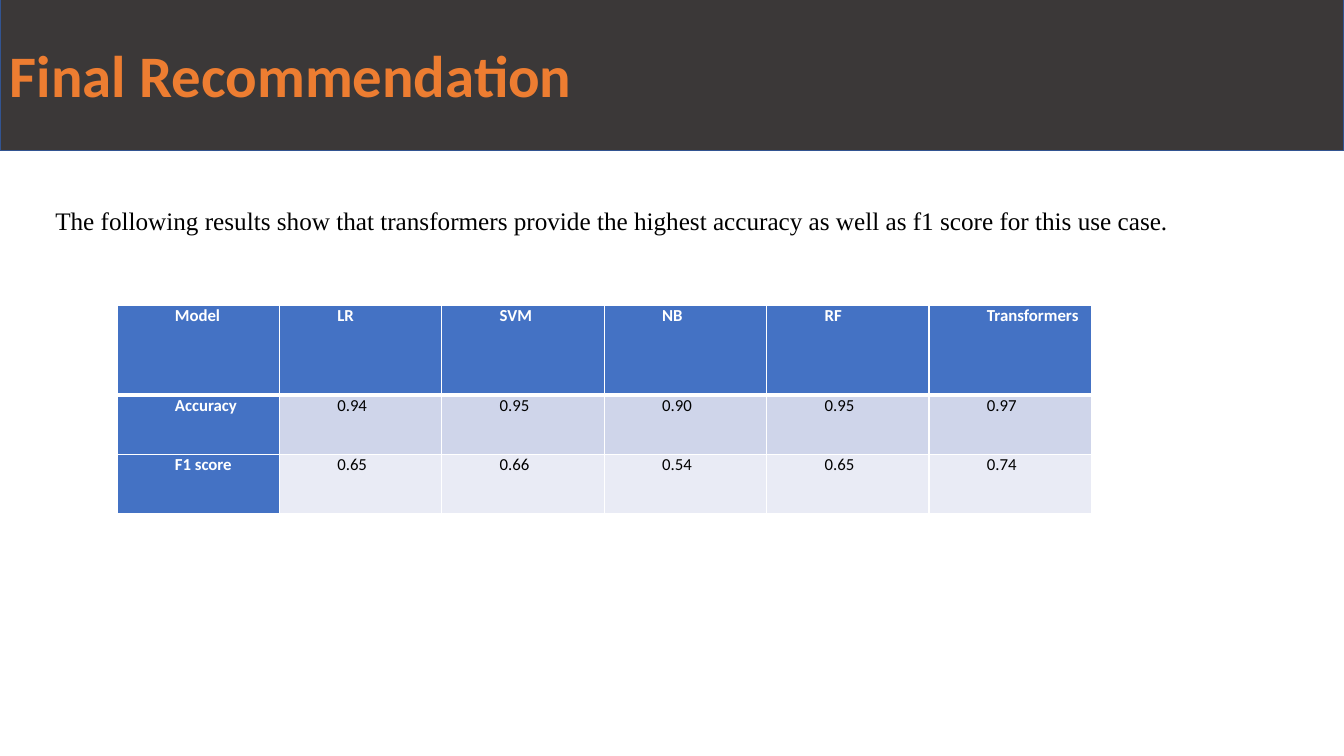
from dataclasses import dataclass

from pptx import Presentation
from pptx.dml.color import RGBColor as RGB
from pptx.enum.shapes import MSO_SHAPE as Preset
from pptx.enum.text import MSO_ANCHOR as Anchor, MSO_AUTO_SIZE as AutoSize, PP_ALIGN as Align
from pptx.oxml.ns import qn
from pptx.oxml.xmlchemy import OxmlElement as new_element
from pptx.util import Pt


@dataclass(frozen=True)
class Theme:
    banner: str = "3B3838"
    banner_edge: str = "325491"
    title: str = "ED7D31"
    text: str = "000000"
    white: str = "FFFFFF"
    header: str = "4472C4"
    bands: tuple = ("CFD5EA", "E9EBF5")
    sans: str = "Calibri"
    serif: str = "Times New Roman"
    title_size: int = 42
    body_size: int = 18
    table_size: int = 12


THEME = Theme()

RESULTS = (
    ("Model", "LR", "SVM", "NB", "RF", "Transformers"),
    ("Accuracy", "0.94", "0.95", "0.90", "0.95", "0.97"),
    ("F1 score", "0.65", "0.66", "0.54", "0.65", "0.74"),
)
COLUMN_WIDTH = 116.05
ROW_HEIGHTS = (64.2, 42.4, 42.4)


def write(text_frame, text, font_name, size, color, bold=False, align=Align.LEFT, indent=0):
    """Put one formatted paragraph into a text frame."""
    text_frame.text = text
    paragraph = text_frame.paragraphs[0]
    paragraph.alignment = align
    if indent:
        properties = paragraph._p.get_or_add_pPr()
        properties.set("marL", str(Pt(indent)))
        properties.set("indent", "0")
    font = paragraph.runs[0].font
    font.name, font.size, font.bold = font_name, Pt(size), bold
    font.color.rgb = RGB.from_string(color)


def add_banner(slide, title, left, top, width, height):
    banner = slide.shapes.add_shape(Preset.RECTANGLE, Pt(left), Pt(top), Pt(width), Pt(height))
    banner.shadow.inherit = False
    banner.fill.solid()
    banner.fill.fore_color.rgb = RGB.from_string(THEME.banner)
    banner.line.color.rgb = RGB.from_string(THEME.banner_edge)
    banner.line.width = Pt(1)
    banner.text_frame.vertical_anchor = Anchor.MIDDLE
    write(banner.text_frame, title, THEME.sans, THEME.title_size, THEME.title, bold=True)


def add_statement(slide, text, left, top, width, height):
    box = slide.shapes.add_textbox(Pt(left), Pt(top), Pt(width), Pt(height))
    box.text_frame.word_wrap = True
    box.text_frame.auto_size = AutoSize.SHAPE_TO_FIT_TEXT
    write(box.text_frame, text, THEME.serif, THEME.body_size, THEME.text,
          align=Align.JUSTIFY, indent=18)


def add_cell_border(properties, side, width):
    line = new_element(f"a:{side}")
    line.set("w", str(Pt(width)))
    fill = new_element("a:solidFill")
    color = new_element("a:srgbClr")
    color.set("val", THEME.white)
    fill.append(color)
    line.append(fill)
    properties.insert(len(properties.findall(qn("a:lnL")) + properties.findall(qn("a:lnR"))
                          + properties.findall(qn("a:lnT"))), line)


def format_cell(cell, text, row, column):
    is_header = row == 0 or column == 0
    cell.margin_left = cell.margin_right = Pt(5.4)
    cell.margin_top = cell.margin_bottom = 0
    cell.fill.solid()
    fill = THEME.header if is_header else THEME.bands[(row - 1) % 2]
    cell.fill.fore_color.rgb = RGB.from_string(fill)
    write(cell.text_frame, text, THEME.sans, THEME.table_size,
          THEME.white if is_header else THEME.text, bold=is_header,
          align=Align.JUSTIFY, indent=36)
    # A thick rule separates the header row from the results
    borders = {"lnL": 1, "lnR": 1, "lnT": 3 if row == 1 else 1, "lnB": 3 if row == 0 else 1}
    for side, width in borders.items():
        add_cell_border(cell._tc.get_or_add_tcPr(), side, width)


def add_results_table(slide, rows, left, top):
    column_count = len(rows[0])
    frame = slide.shapes.add_table(len(rows), column_count, Pt(left), Pt(top),
                                   Pt(COLUMN_WIDTH * column_count), Pt(sum(ROW_HEIGHTS)))
    table = frame.table
    table.first_column = True
    for column in table.columns:
        column.width = Pt(COLUMN_WIDTH)
    for row, values in enumerate(rows):
        table.rows[row].height = Pt(ROW_HEIGHTS[row])
        for column, text in enumerate(values):
            format_cell(table.cell(row, column), text, row, column)


def main():
    presentation = Presentation()
    presentation.slide_width, presentation.slide_height = Pt(960), Pt(540)
    slide = presentation.slides.add_slide(presentation.slide_layouts[6])

    # Title band
    add_banner(slide, "Final Recommendation", 0, -1.4, 960, 108.7)

    # Conclusion and the scores behind it
    add_statement(slide, "The following results show that transformers provide the highest "
                  "accuracy as well as f1 score for this use case.", 14.4, 143.3, 864.7, 29)
    add_results_table(slide, RESULTS, 83.5, 218.2)

    presentation.save("out.pptx")


main()
